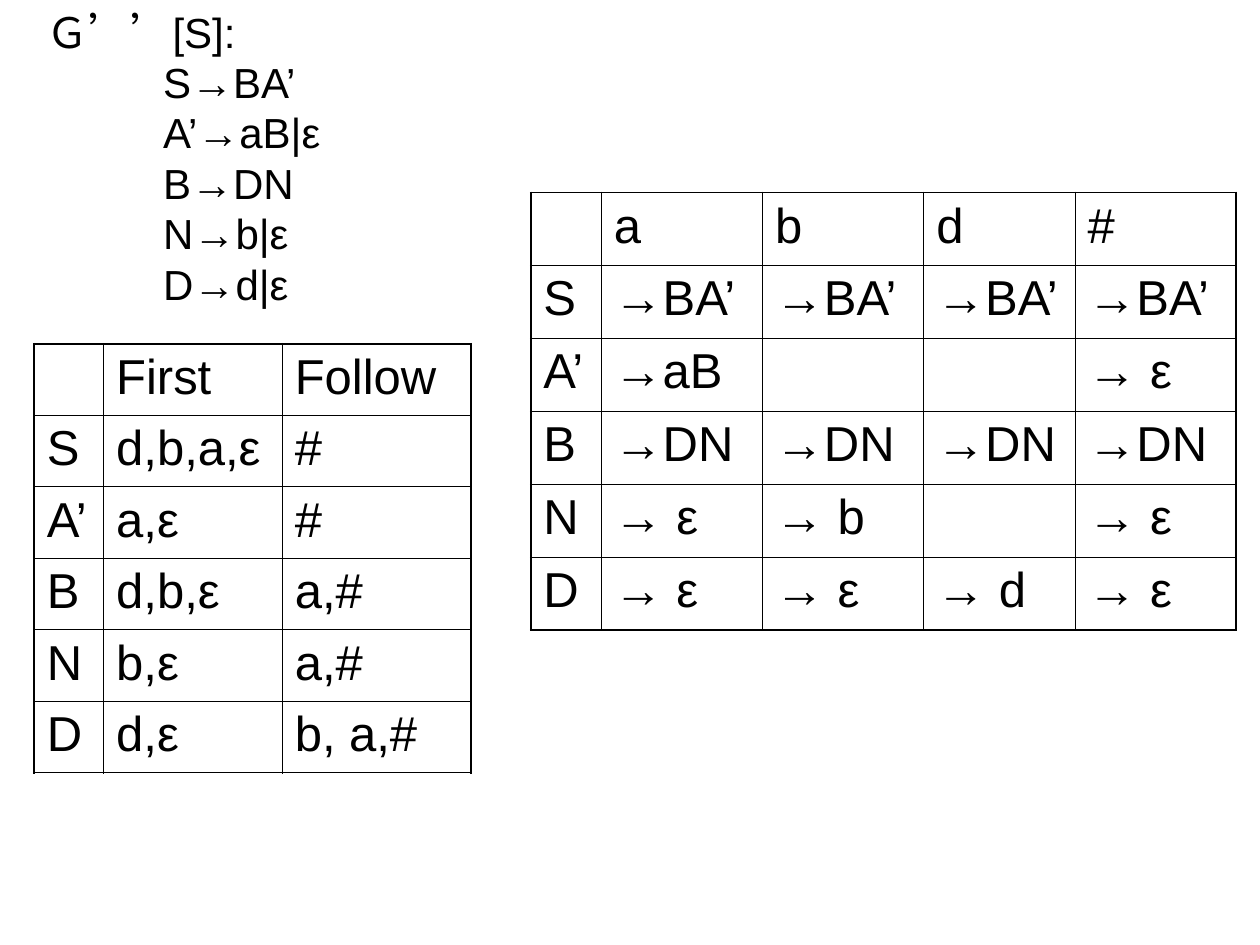
from dataclasses import dataclass

from lxml.etree import SubElement
from pptx import Presentation
from pptx.dml.color import RGBColor
from pptx.enum.text import MSO_AUTO_SIZE as AutoSize
from pptx.oxml.ns import qn
from pptx.util import Cm, Pt

GRAMMAR_TITLE = "Ｇ’’[S]:"
PRODUCTIONS = ["S→BA’", "A’→aB|ε", "B→DN", "N→b|ε", "D→d|ε"]

FIRST_FOLLOW = {
    "left": 0.69, "top": 6.93, "row_height": 1.44,
    "widths": [1.4, 3.6, 3.81],
    "rows": [
        ["", "First", "Follow"],
        ["S", "d,b,a,ε", "#"],
        ["A’", "a,ε", "#"],
        ["B", "d,b,ε", "a,#"],
        ["N", "b,ε", "a,#"],
        ["D", "d,ε", "b, a,#"],
    ],
}
PARSE_TABLE = {
    "left": 10.7, "top": 3.88, "row_height": 1.47,
    "widths": [1.42, 3.25, 3.25, 3.05, 3.25],
    "rows": [
        ["", "a", "b", "d", "#"],
        ["S"] + ["→BA’"] * 4,
        ["A’", "→aB", "", "", "→ ε"],
        ["B"] + ["→DN"] * 4,
        ["N", "→ ε", "→ b", "", "→ ε"],
        ["D", "→ ε", "→ ε", "→ d", "→ ε"],
    ],
}


@dataclass(frozen=True)
class Theme:
    font: str = "Arial"
    ink: str = "000000"
    grammar_size: float = 24
    table_size: float = 28
    outer_line: float = 1.08
    inner_line: float = 0.45


THEME = Theme()


def write(para, text, size):
    span = para.add_run()
    span.text = text
    span.font.name = THEME.font
    span.font.size = Pt(size)
    span.font.color.rgb = RGBColor.from_string(THEME.ink)


def set_borders(cell, outer_sides):
    properties = cell._tc.get_or_add_tcPr()
    for index, side in enumerate(("lnL", "lnR", "lnT", "lnB")):
        width = THEME.outer_line if side in outer_sides else THEME.inner_line
        line = SubElement(properties, qn(f"a:{side}"), w=str(int(Pt(width))))
        fill = SubElement(line, qn("a:solidFill"))
        SubElement(fill, qn("a:srgbClr"), val=THEME.ink)
        properties.remove(line)
        properties.insert(index, line)


def add_grid(page, data):
    rows, widths = data["rows"], data["widths"]
    last_row, last_column = len(rows) - 1, len(widths) - 1
    frame = page.shapes.add_table(
        len(rows), len(widths), Cm(data["left"]), Cm(data["top"]),
        Cm(sum(widths)), Cm(data["row_height"] * len(rows)))
    table = frame.table
    table.first_row = table.horz_banding = False
    for column, width in zip(table.columns, widths):
        column.width = Cm(width)
    for r, values in enumerate(rows):
        table.rows[r].height = Cm(data["row_height"])
        for c, value in enumerate(values):
            cell = table.cell(r, c)
            cell.fill.background()
            outer = {side for side, touches in (
                ("lnL", c == 0), ("lnR", c == last_column),
                ("lnT", r == 0), ("lnB", r == last_row)) if touches}
            set_borders(cell, outer)
            if value:
                para = cell.text_frame.paragraphs[0]
                para.space_before = Pt(7)
                write(para, value, THEME.table_size)


def add_grammar(page):
    box = page.shapes.add_textbox(Cm(0.69), Cm(0), Cm(24), Cm(6.35))
    frame = box.text_frame
    frame.word_wrap = True
    frame.auto_size = AutoSize.SHAPE_TO_FIT_TEXT
    title = frame.paragraphs[0]
    title.space_before = Pt(15)
    write(title, GRAMMAR_TITLE, THEME.grammar_size)
    for production in PRODUCTIONS:
        para = frame.add_paragraph()
        para._p.get_or_add_pPr().set("marL", str(int(Cm(2.35))))
        write(para, production, THEME.grammar_size)


deck = Presentation()
deck.slide_width, deck.slide_height = Cm(25.4), Cm(19.05)
page = deck.slides.add_slide(deck.slide_layouts[6])
add_grammar(page)
for grid in (FIRST_FOLLOW, PARSE_TABLE):
    add_grid(page, grid)
deck.save("out.pptx")
